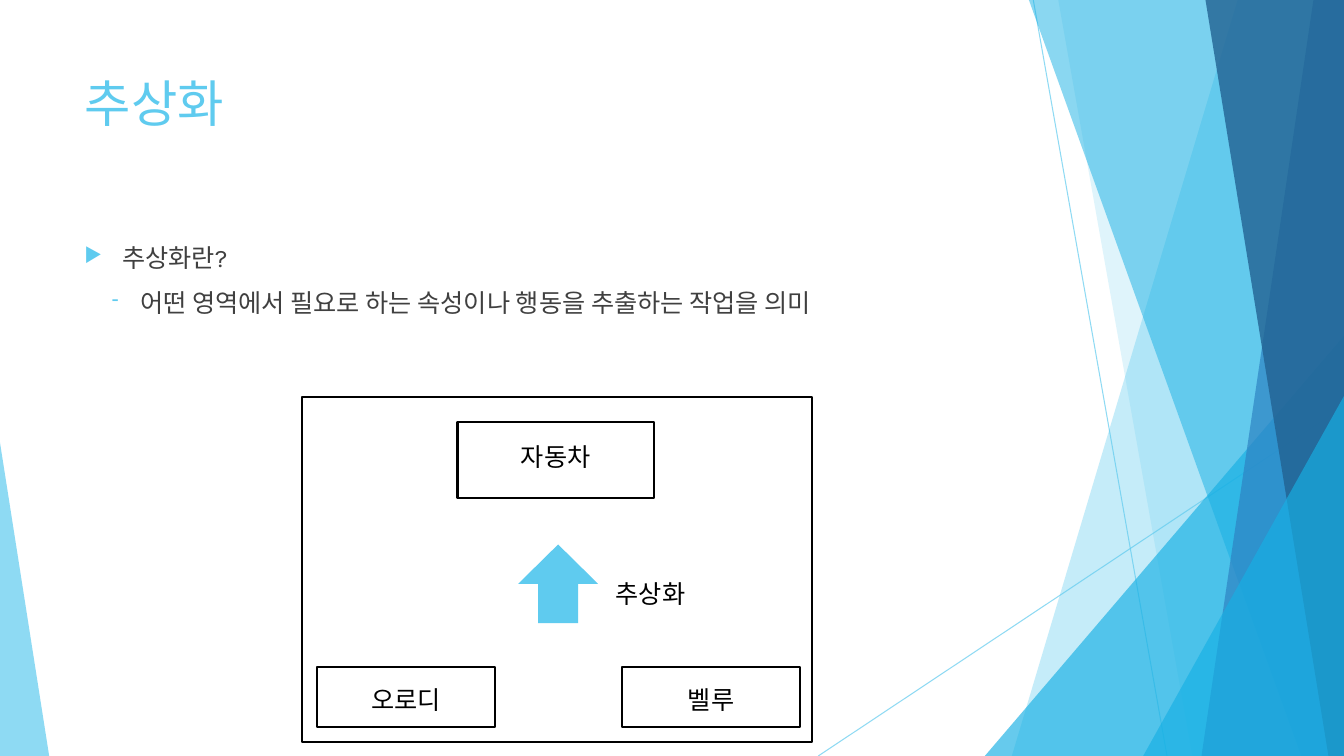
from lxml import etree
from pptx import Presentation
from pptx.dml.color import RGBColor
from pptx.enum.shapes import MSO_CONNECTOR, MSO_SHAPE
from pptx.enum.text import MSO_ANCHOR, MSO_AUTO_SIZE, PP_ALIGN
from pptx.oxml.ns import qn
from pptx.util import Cm, Pt

RECTANGLE = MSO_SHAPE.RECTANGLE
TRIANGLE = MSO_SHAPE.ISOSCELES_TRIANGLE
DOWN_ARROW = MSO_SHAPE.DOWN_ARROW
STRAIGHT = MSO_CONNECTOR.STRAIGHT
TOP, MIDDLE = MSO_ANCHOR.TOP, MSO_ANCHOR.MIDDLE
LEFT, CENTER = PP_ALIGN.LEFT, PP_ALIGN.CENTER
NO_AUTOFIT = MSO_AUTO_SIZE.NONE

WIDTH, HEIGHT = 33.87, 19.05
SKY, AZURE, BLUE, NAVY = "5FCBEF", "17B0E4", "2E83C3", "226292"
WHITE, BLACK, GRAY = "FFFFFF", "000000", "404040"
LATIN_FONT, KOREAN_FONT = "Karla", "Noto Sans CJK KR"


def color(value):
    return RGBColor.from_string(value)


class SlideBuilder:
    def __init__(self, presentation):
        self.slide = presentation.slides.add_slide(presentation.slide_layouts[5])
        self.shapes = self.slide.shapes

    def set_opacity(self, shape, percent):
        for rgb in shape._element.spPr.iter(qn("a:srgbClr")):
            etree.SubElement(rgb, qn("a:alpha"), val=str(percent * 1000))

    def paint(self, shape, fill, opacity=100, outline=None):
        shape.shadow.inherit = False
        shape.fill.solid()
        shape.fill.fore_color.rgb = color(fill)
        if opacity < 100:
            self.set_opacity(shape, opacity)
        if outline:
            shape.line.color.rgb = color(outline)
            shape.line.width = Pt(1.5)
        else:
            shape.line.fill.background()

    def format_paragraph(self, paragraph, size, text_color, font=LATIN_FONT, align=LEFT):
        paragraph.alignment = align
        for run in paragraph.runs:
            run.font.size = Pt(size)
            run.font.color.rgb = color(text_color)
            run.font.name = font
            etree.SubElement(run._r.get_or_add_rPr(), qn("a:ea"), typeface=KOREAN_FONT)

    def line(self, x1, y1, x2, y2):
        connector = self.shapes.add_connector(STRAIGHT, Cm(x1), Cm(y1), Cm(x2), Cm(y2))
        connector.line.color.rgb = color(SKY)
        connector.line.width = Pt(0.75)
        self.set_opacity(connector, 70)
        etree.SubElement(connector._element.spPr, qn("a:effectLst"))

    def band(self, top_x, bottom_x, fill, opacity):
        builder = self.shapes.build_freeform(Cm(top_x), 0)
        corners = [(WIDTH, 0), (WIDTH, HEIGHT), (bottom_x, HEIGHT)]
        builder.add_line_segments([(Cm(x), Cm(y)) for x, y in corners], close=True)
        self.paint(builder.convert_to_shape(), fill, opacity)

    def shape(self, kind, left, top, width, height, fill, opacity=100, outline=None):
        shape = self.shapes.add_shape(kind, Cm(left), Cm(top), Cm(width), Cm(height))
        self.paint(shape, fill, opacity, outline)
        return shape

    def triangle(self, left, top, width, apex, fill, opacity):
        shape = self.shape(TRIANGLE, left, top, width, HEIGHT - top, fill, opacity)
        shape.adjustments[0] = apex

    def box(self, text, left, top, width, height, spacing):
        shape = self.shape(RECTANGLE, left, top, width, height, WHITE, outline=BLACK)
        frame = shape.text_frame
        frame.text = text
        frame.vertical_anchor = MIDDLE
        frame.paragraphs[0].line_spacing = spacing
        self.format_paragraph(frame.paragraphs[0], 18, BLACK, KOREAN_FONT, CENTER)

    def title(self, text, left, top, width, height):
        title = self.shapes.title
        title.left, title.top, title.width, title.height = map(Cm, (left, top, width, height))
        frame = title.text_frame
        frame.text = text
        frame.auto_size = NO_AUTOFIT
        frame.vertical_anchor = TOP
        self.format_paragraph(frame.paragraphs[0], 36, SKY)

    def text(self, content, left, top, width, height, text_color, wrap):
        shape = self.shapes.add_textbox(Cm(left), Cm(top), Cm(width), Cm(height))
        frame = shape.text_frame
        frame.word_wrap = wrap
        frame.text = content
        for paragraph in frame.paragraphs:
            self.format_paragraph(paragraph, 18, text_color)
        return frame

    def bullet(self, paragraph, mark, margin, hanging):
        paragraph.space_before = Pt(10)
        properties = paragraph._p.get_or_add_pPr()
        properties.set("marL", str(Cm(margin)))
        properties.set("indent", str(-Cm(hanging)))
        bullet_color = etree.SubElement(properties, qn("a:buClr"))
        etree.SubElement(bullet_color, qn("a:srgbClr"), val=SKY)
        etree.SubElement(properties, qn("a:buSzPct"), val="80000")
        etree.SubElement(properties, qn("a:buChar"), char=mark)


def main():
    presentation = Presentation()
    presentation.slide_width, presentation.slide_height = Cm(WIDTH), Cm(HEIGHT)
    builder = SlideBuilder(presentation)

    builder.line(26.04, 0, 29.41, HEIGHT)
    builder.line(WIDTH, 10.24, 20.62, HEIGHT)
    builder.band(31.19, 25.5, SKY, 36)
    builder.band(26.67, 30.05, SKY, 20)
    builder.triangle(24.82, 8.46, 9.05, 1, AZURE, 66)
    builder.band(25.93, 32.79, AZURE, 50)
    builder.band(33.1, 30.28, BLUE, 70)
    builder.band(30.38, 33.48, NAVY, 80)
    builder.triangle(28.81, 9.98, 5.06, 1, AZURE, 66)
    builder.triangle(0, 11.15, 1.24, 0, SKY, 70)

    builder.title("추상화", 1.88, 1.7, 23.88, 3.66)
    body = builder.text(
        "추상화란?\n어떤 영역에서 필요로 하는 속성이나 행동을 추출하는 작업을 의미",
        1.88, 5.99, 23.88, 2.44, GRAY, True)
    bullets = [("▶", 0.95, 0.95), ("-", 1.4, 0.71)]
    for paragraph, (mark, margin, hanging) in zip(body.paragraphs, bullets):
        builder.bullet(paragraph, mark, margin, hanging)

    builder.shape(RECTANGLE, 7.62, 10.01, 12.85, 8.69, WHITE, outline=BLACK)
    builder.box("자동차", 11.53, 10.64, 4.95, 1.9, 0.75)
    for name, left in [("오로디", 7.98), ("벨루", 15.67)]:
        builder.box(name, left, 16.81, 4.5, 1.5, 1.15)
    arrow = builder.shape(DOWN_ARROW, 13.06, 13.72, 2.01, 1.98, SKY)
    arrow.rotation = 180
    builder.text("추상화", 15.27, 14.45, 2.44, 1.02, BLACK, False)

    presentation.save("out.pptx")


if __name__ == "__main__":
    main()
